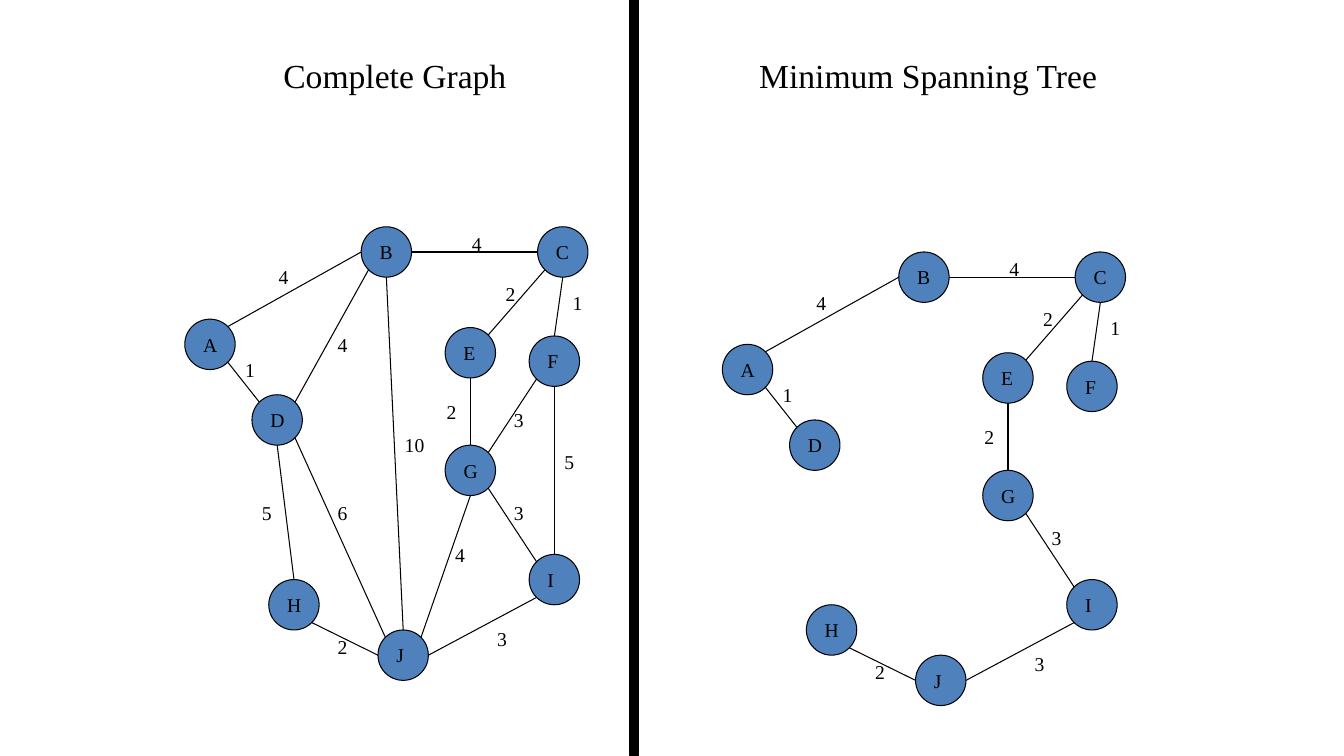
from typing import NamedTuple

import pptx
import pptx.dml.color
import pptx.enum.shapes
import pptx.enum.text
import pptx.oxml
import pptx.util

PX = 9525
NODE = 48
HALF = NODE // 2
SLANT = 17  # offset of a diagonal point on the rim
INSET = 8
TEXT_H = 32
BLACK = "000000"
BLUE = "4F81BD"
SMALL = {"size": pptx.util.Pt(14), "name": "Times New Roman"}
LARGE = {"size": pptx.util.Pt(24), "name": "Times New Roman"}
SHAPE = pptx.enum.shapes.MSO_SHAPE
ALIGN = pptx.enum.text.PP_ALIGN

RIM = {
    "n": (0, -HALF), "s": (0, HALF), "w": (-HALF, 0), "e": (HALF, 0),
    "nw": (-SLANT, -SLANT), "ne": (SLANT, -SLANT),
    "sw": (-SLANT, SLANT), "se": (SLANT, SLANT),
}


class Node(NamedTuple):
    x: int
    y: int
    text_w: int


class Edge(NamedTuple):
    start: str
    out: str
    end: str
    into: str
    weight: str
    x: int
    y: int
    in_tree: bool = False


class Panel(NamedTuple):
    title: str
    left: int
    width: int
    dx: int
    dy: int
    tree: bool


NODES = {
    "A": Node(176, 304, 33),
    "B": Node(344, 216, 32),
    "C": Node(512, 216, 32),
    "D": Node(240, 376, 33),
    "E": Node(424, 312, 31),
    "F": Node(504, 320, 30),
    "G": Node(424, 424, 33),
    "H": Node(256, 552, 33),
    "I": Node(504, 528, 26),
    "J": Node(360, 600, 27),
}

EDGES = [
    Edge("A", "ne", "B", "w", "4", 256, 248, True),
    Edge("B", "e", "C", "w", "4", 440, 216, True),
    Edge("C", "sw", "E", "ne", "2", 472, 264, True),
    Edge("C", "s", "F", "n", "1", 536, 272, True),
    Edge("D", "nw", "A", "se", "1", 224, 336, True),
    Edge("E", "s", "G", "n", "2", 416, 376, True),
    Edge("I", "nw", "G", "se", "3", 480, 472, True),
    Edge("J", "e", "I", "sw", "3", 464, 592, True),
    Edge("J", "w", "H", "se", "2", 312, 600, True),
    Edge("B", "sw", "D", "ne", "4", 312, 312),
    Edge("B", "s", "J", "n", "10", 376, 408),
    Edge("D", "s", "H", "n", "5", 240, 472),
    Edge("D", "se", "J", "nw", "6", 312, 472),
    Edge("F", "sw", "G", "ne", "3", 480, 384),
    Edge("F", "s", "I", "n", "5", 528, 424),
    Edge("J", "ne", "G", "s", "4", 424, 512),
]

PANELS = [
    Panel("Complete Graph", 192, 368, 0, 0, False),
    Panel("Minimum Spanning Tree", 712, 344, 512, 24, True),
]


def px(*sizes: int) -> list[pptx.util.Emu]:
    return [pptx.util.Emu(size * PX) for size in sizes]


def rgb(code: str) -> pptx.dml.color.RGBColor:
    return pptx.dml.color.RGBColor.from_string(code)


def ink(line) -> None:
    line.color.rgb = rgb(BLACK)
    line.width = pptx.util.Pt(0.75)


def add_form(slide, kind, x: int, y: int, w: int, h: int, fill: str) -> None:
    form = slide.shapes.add_shape(kind, *px(x, y, w, h))
    form.shadow.inherit = False
    form.fill.solid()
    form.fill.fore_color.rgb = rgb(fill)
    ink(form.line)


def add_text(slide, text: str, x: int, y: int, w: int, h: int, font: dict,
             wrap: bool = False, align=ALIGN.LEFT) -> None:
    frame = slide.shapes.add_textbox(*px(x, y, w, h)).text_frame
    frame.word_wrap = wrap
    frame.auto_size = pptx.enum.text.MSO_AUTO_SIZE.SHAPE_TO_FIT_TEXT
    par = frame.paragraphs[0]
    par.alignment = align
    run = par.add_run()
    run.text = text
    for key, value in font.items():
        setattr(run.font, key, value)
    run.font.color.rgb = rgb(BLACK)


def rim_point(name: str, side: str, panel: Panel) -> list[pptx.util.Emu]:
    node = NODES[name]
    dx, dy = RIM[side]
    return px(node.x + HALF + dx + panel.dx, node.y + HALF + dy + panel.dy)


def add_edge(slide, edge: Edge, panel: Panel) -> None:
    link = slide.shapes.add_connector(
        pptx.enum.shapes.MSO_CONNECTOR.STRAIGHT,
        *rim_point(edge.start, edge.out, panel),
        *rim_point(edge.end, edge.into, panel))
    ink(link.line)
    flat = pptx.oxml.parse_xml(
        '<a:effectLst xmlns:a='
        '"http://schemas.openxmlformats.org/drawingml/2006/main"/>')
    link._element.spPr.append(flat)
    width = 29 if len(edge.weight) == 1 else 38
    add_text(slide, edge.weight, edge.x + panel.dx, edge.y + panel.dy,
             width, TEXT_H, SMALL)


def add_node(slide, name: str, node: Node, panel: Panel) -> None:
    x, y = node.x + panel.dx, node.y + panel.dy
    add_form(slide, SHAPE.OVAL, x, y, NODE, NODE, BLUE)
    add_text(slide, name, x + INSET, y + INSET, node.text_w, TEXT_H, SMALL)


def add_panel(slide, panel: Panel) -> None:
    add_text(slide, panel.title, panel.left, 48, panel.width, 48, LARGE,
             wrap=True, align=ALIGN.CENTER)
    for edge in EDGES:
        if edge.in_tree or not panel.tree:
            add_edge(slide, edge, panel)
    for name, node in NODES.items():
        add_node(slide, name, node, panel)


def main() -> None:
    deck = pptx.Presentation()
    deck.slide_width, deck.slide_height = px(1280, 720)
    slide = deck.slides.add_slide(deck.slide_layouts[6])
    add_form(slide, SHAPE.RECTANGLE, 600, 0, 8, 720, BLACK)
    for panel in PANELS:
        add_panel(slide, panel)
    deck.save("out.pptx")


if __name__ == "__main__":
    main()
